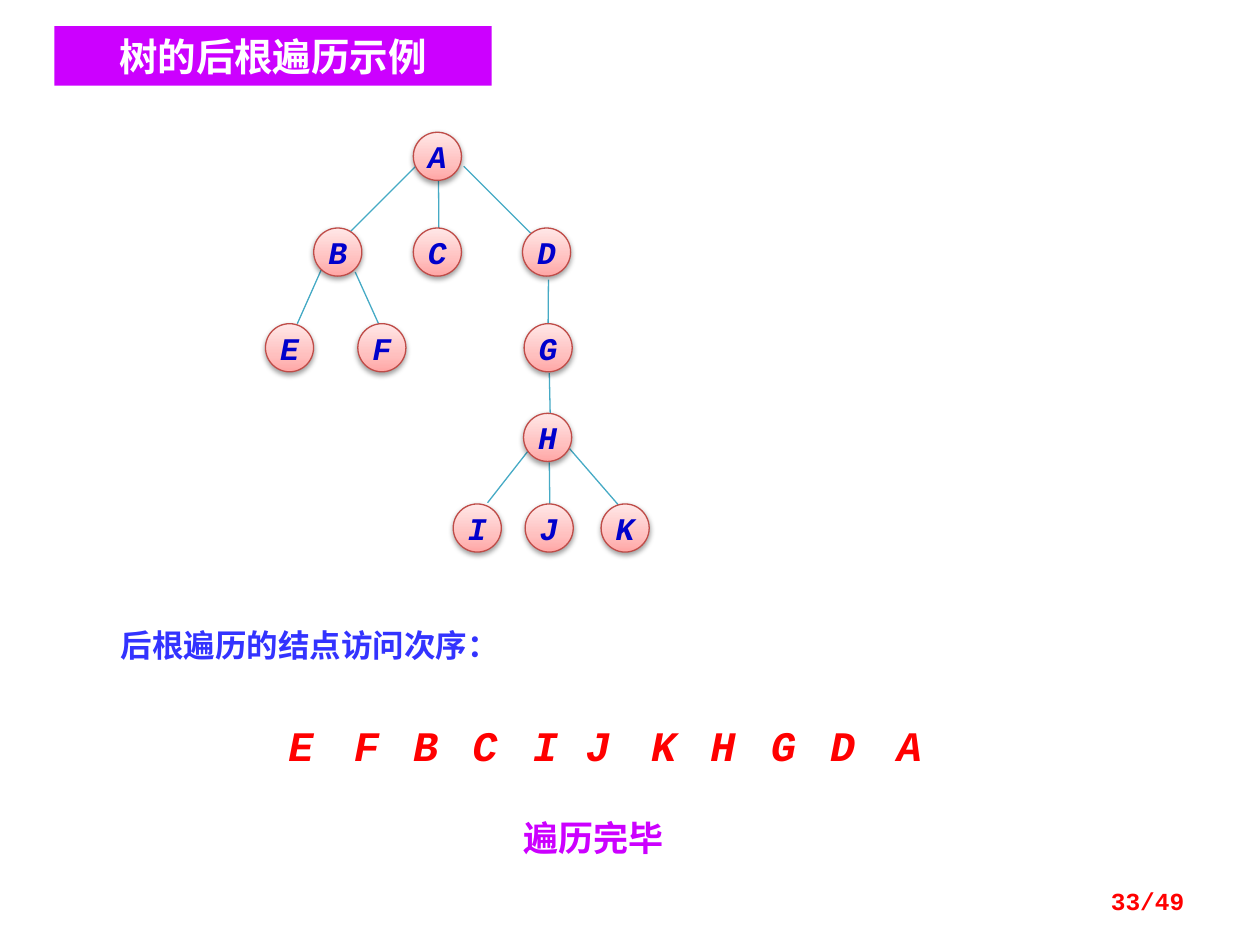
from dataclasses import dataclass

import pptx
import pptx.dml.color
import pptx.enum.shapes
import pptx.enum.text
import pptx.oxml
import pptx.oxml.ns
import pptx.util
from lxml import etree

Pt = pptx.util.Pt
Align = pptx.enum.text.PP_ALIGN
Anchor = pptx.enum.text.MSO_ANCHOR
AutoSize = pptx.enum.text.MSO_AUTO_SIZE

MONO, CJK = "Courier New", "Noto Sans CJK SC"
NODE_SIZE = 27.5
NODE_STOPS = {0: "FFA6A5", 35000: "FFC0BF", 100000: "FFE7E7"}  # from bottom to top
NODE_OUTLINE = "BF4C48"
NODE_LETTER = "0000CC"
EDGE_COLOR = "46AAC5"


@dataclass(frozen=True)
class Node:
    letter: str
    left: float
    top: float


@dataclass(frozen=True)
class Edge:
    x1: float
    y1: float
    x2: float
    y2: float


LEVELS = (75.6, 130.3, 185, 236.2, 288)
NODES = [
    Node("A", 236.2, LEVELS[0]),
    Node("B", 179.3, LEVELS[1]), Node("C", 236.2, LEVELS[1]), Node("D", 298.6, LEVELS[1]),
    Node("E", 151.7, LEVELS[2]), Node("F", 204.5, LEVELS[2]), Node("G", 299.5, LEVELS[2]),
    Node("H", 299.2, LEVELS[3]),
    Node("I", 259, LEVELS[4]), Node("J", 300.1, LEVELS[4]), Node("K", 343.5, LEVELS[4]),
]
EDGES = [
    Edge(237.6, 95, 199.4, 133.2),       # A-B
    Edge(250.6, 103, 250.8, 131.8),      # A-C
    Edge(265, 95, 304.6, 134.6),         # A-D
    Edge(183.6, 154.1, 169.9, 185),      # B-E
    Edge(203, 155.5, 216.7, 185.8),      # B-F
    Edge(313.4, 159.8, 313.2, 185.8),    # D-G
    Edge(313.9, 213.1, 314.4, 236.2),    # G-H
    Edge(301.7, 257.8, 278.6, 287.3),    # H-I
    Edge(313.9, 264.2, 314.2, 288.7),    # H-J
    Edge(325.4, 256.3, 353.5, 288.7),    # H-K
]
VISIT_LEFTS = {"E": 157.7, "F": 195.1, "B": 229, "C": 262.8, "I": 297.4, "J": 327.6,
               "K": 365, "H": 398.9, "G": 433.4, "D": 467.3, "A": 505.4}


def rgb(color: str) -> pptx.dml.color.RGBColor:
    return pptx.dml.color.RGBColor.from_string(color)


def write(shape, text: str, color: str, font_format: dict, align=Align.LEFT,
          anchor=Anchor.TOP, wrap: bool = True, fit=AutoSize.NONE) -> None:
    """Put one formatted line of text into a shape."""
    frame = shape.text_frame
    frame.text = text
    for name, value in {"word_wrap": wrap, "vertical_anchor": anchor, "auto_size": fit}.items():
        setattr(frame, name, value)
    paragraph = frame.paragraphs[0]
    paragraph.alignment = align
    paragraph.space_before = Pt(0)
    run = paragraph.runs[0]
    for name, value in font_format.items():
        setattr(run.font, name, value)
    run.font.color.rgb = rgb(color)
    east_asian = etree.SubElement(run.font._element, pptx.oxml.ns.qn("a:ea"))
    east_asian.set("typeface", CJK)


def mono(size: float, italic: bool = False) -> dict:
    return {"name": MONO, "size": Pt(size), "bold": True, "italic": italic}


def add_label(slide, left: float, top: float, width: float, height: float,
              text: str, color: str, font_format: dict, **layout) -> None:
    box = slide.shapes.add_textbox(Pt(left), Pt(top), Pt(width), Pt(height))
    write(box, text, color, font_format, **layout)


def add_edge(slide, edge: Edge) -> None:
    line = slide.shapes.add_connector(
        pptx.enum.shapes.MSO_CONNECTOR.STRAIGHT,
        Pt(edge.x1), Pt(edge.y1), Pt(edge.x2), Pt(edge.y2))
    line.line.color.rgb = rgb(EDGE_COLOR)
    line.line.width = Pt(0.75)
    etree.SubElement(line._element.spPr, pptx.oxml.ns.qn("a:effectLst"))


def add_node(slide, node: Node) -> None:
    circle = slide.shapes.add_shape(
        pptx.enum.shapes.MSO_SHAPE.OVAL, Pt(node.left), Pt(node.top),
        Pt(NODE_SIZE), Pt(NODE_SIZE))
    circle.line.color.rgb = rgb(NODE_OUTLINE)
    circle.line.width = Pt(0.75)
    circle.shadow.inherit = False
    # Three-stop gradient and soft shadow below
    namespace = pptx.oxml.ns.nsdecls("a")
    stops = "".join(
        f'<a:gs pos="{position}"><a:srgbClr val="{color}"/></a:gs>'
        for position, color in NODE_STOPS.items())
    properties = circle._element.spPr
    properties.find(pptx.oxml.ns.qn("a:prstGeom")).addnext(pptx.oxml.parse_xml(
        f'<a:gradFill {namespace} rotWithShape="1"><a:gsLst>{stops}</a:gsLst>'
        '<a:lin ang="16200000" scaled="1"/></a:gradFill>'))
    properties.find(pptx.oxml.ns.qn("a:effectLst")).append(pptx.oxml.parse_xml(
        f'<a:outerShdw {namespace} blurRad="{Pt(3.1)}" dist="{Pt(1.6)}" dir="5400000" '
        'rotWithShape="0"><a:srgbClr val="000000"><a:alpha val="38000"/></a:srgbClr>'
        '</a:outerShdw>'))
    write(circle, node.letter, NODE_LETTER, mono(18, italic=True),
          align=Align.CENTER, anchor=Anchor.MIDDLE, wrap=False)


def main() -> None:
    deck = pptx.Presentation()
    deck.slide_width, deck.slide_height = Pt(720), Pt(540)
    slide = deck.slides.add_slide(deck.slide_layouts[5])

    # Title banner
    title = slide.shapes.title
    place = {"left": 31, "top": 15, "width": 250, "height": 34}
    for name, value in place.items():
        setattr(title, name, Pt(value))
    title.fill.solid()
    title.fill.fore_color.rgb = rgb("CC00FF")
    write(title, "树的后根遍历示例", "FFFFFF", {"name": CJK, "size": Pt(22), "bold": True},
          align=Align.CENTER, anchor=Anchor.MIDDLE)

    # Tree: edges behind nodes
    for edge in EDGES:
        add_edge(slide, edge)
    for node in NODES:
        add_node(slide, node)

    # Visiting order
    grow = AutoSize.SHAPE_TO_FIT_TEXT
    add_label(slide, 62, 354.2, 321, 29, "后根遍历的结点访问次序：", "3333FF", mono(18), fit=grow)
    for letter, left in VISIT_LEFTS.items():
        add_label(slide, left, 407.5, 28, 36.5, letter, "FF0000", mono(24, italic=True),
                  wrap=False, fit=grow)
    add_label(slide, 260, 463, 158.4, 31.5, "遍历完毕", "CC00FF", mono(20),
              align=Align.CENTER, fit=grow)

    # Page number
    add_label(slide, 516.2, 500.4, 167.8, 29, "33/49", "FF0000", mono(14),
              align=Align.RIGHT, anchor=Anchor.MIDDLE)

    deck.save("out.pptx")


if __name__ == "__main__":
    main()
